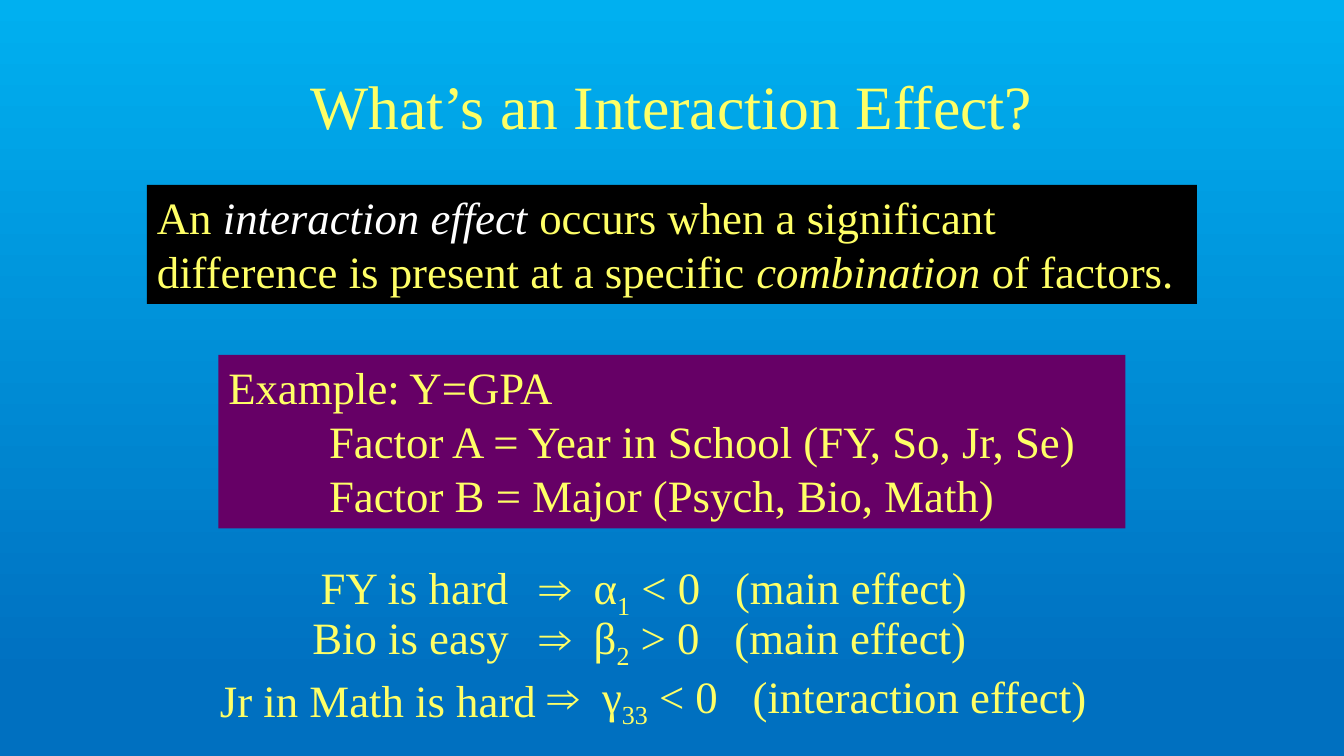
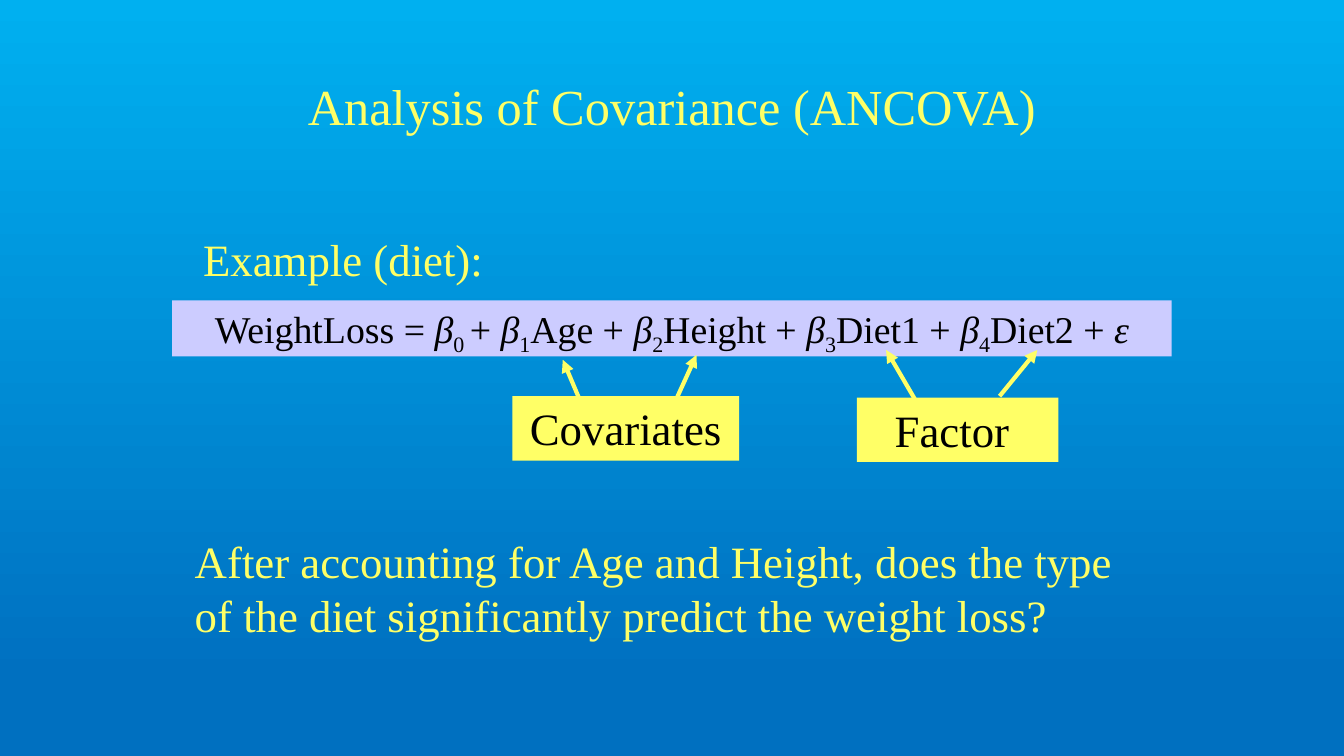
from dataclasses import dataclass

from lxml.etree import SubElement
from pptx import Presentation
from pptx.dml.color import RGBColor as Rgb
from pptx.enum.shapes import MSO_CONNECTOR as Connector, MSO_SHAPE as Shape
from pptx.enum.text import MSO_ANCHOR as Anchor, PP_ALIGN as Align
from pptx.oxml.ns import qn
from pptx.util import Pt


@dataclass(frozen=True)
class Theme:
    """Colours and type sizes of the deck."""
    font: str = "Times New Roman"
    sky: str = "00B0F0"
    deep: str = "0070C0"
    yellow: str = "FFFF66"
    white: str = "FFFFFF"
    black: str = "000000"
    purple: str = "660066"
    lavender: str = "CCCCFF"
    title: int = 44
    long_title: int = 36
    body: int = 32
    equation: int = 27
    arrow: int = 3


THEME = Theme()


def italic(text, color=None):
    """Describe an italic run."""
    return text, {"italic": True, "color": color}


def sub(text):
    """Describe a subscript run."""
    return text, {"subscript": True}


class Builder:
    """Holds the deck, its style and the current page."""

    def __init__(self, theme):
        """Start a widescreen deck with a shared gradient background."""
        self.theme = theme
        self.deck = Presentation()
        self.deck.slide_width, self.deck.slide_height = Pt(960), Pt(540)
        self.page = None
        fill = self.deck.slide_master.background.fill
        fill.gradient()
        fill.gradient_angle = 270
        stops = ((0, theme.sky), (0.9, theme.deep))
        for stop, (position, color) in zip(fill.gradient_stops, stops):
            stop.position = position
            stop.color.rgb = Rgb.from_string(color)

    def add_page(self, title, size):
        """Add a blank page with a centred title."""
        self.page = self.deck.slides.add_slide(self.deck.slide_layouts[6])
        self.text((174, 30, 612, 90), [[title]], size=size,
                  align=Align.CENTER, anchor=Anchor.MIDDLE)

    def text(self, place, lines, **style):
        """Add a plain text box."""
        box = self.page.shapes.add_textbox(*map(Pt, place))
        self.fill_text(box, lines, **style)

    def panel(self, place, fill, lines, **style):
        """Add a filled rectangle with text."""
        box = self.page.shapes.add_shape(Shape.RECTANGLE, *map(Pt, place))
        box.shadow.inherit = False
        box.fill.solid()
        box.fill.fore_color.rgb = Rgb.from_string(fill)
        box.line.fill.background()
        self.fill_text(box, lines, **style)

    def fill_text(self, box, lines, size=None, color=None, align=Align.LEFT,
                  anchor=Anchor.TOP, tabs=()):
        """Fill a box with paragraphs, each a list of runs."""
        frame = box.text_frame
        frame.word_wrap = True
        frame.vertical_anchor = anchor
        for number, runs in enumerate(lines):
            para = frame.add_paragraph() if number else frame.paragraphs[0]
            para.alignment = align
            if tabs:
                self.set_tabs(para, tabs)
            for run in runs:
                text, look = (run, {}) if isinstance(run, str) else run
                self.add_span(para, text, size or self.theme.body,
                              look.get("color") or color or self.theme.yellow,
                              look.get("italic", False),
                              look.get("subscript", False))

    def add_span(self, para, text, size, color, slanted, subscript):
        """Add one run with its full style."""
        span = para.add_run()
        span.text = text
        font = span.font
        font.name, font.size, font.italic = self.theme.font, Pt(size), slanted
        font.color.rgb = Rgb.from_string(color)
        if subscript:
            span._r.get_or_add_rPr().set("baseline", "-25000")

    def set_tabs(self, para, tabs):
        """Set left tab stops on a paragraph."""
        tab_list = SubElement(para._p.get_or_add_pPr(), qn("a:tabLst"))
        for stop in tabs:
            SubElement(tab_list, qn("a:tab"), pos=str(Pt(stop)), algn="l")

    def arrow(self, start, end):
        """Add a straight arrow pointing at its end."""
        line = self.page.shapes.add_connector(
            Connector.STRAIGHT, *map(Pt, (*start, *end)))
        line.line.width = Pt(self.theme.arrow)
        line.line.color.rgb = Rgb.from_string(self.theme.yellow)
        properties = line._element.spPr
        SubElement(properties.find(qn("a:ln")), qn("a:tailEnd"),
                   type="triangle")
        SubElement(properties, qn("a:effectLst"))


def interaction_page(build):
    """Explain interaction effects with an example."""
    theme = build.theme
    build.add_page("What’s an Interaction Effect?", theme.title)
    build.panel((105, 132, 750, 85), theme.black, [[
        "An ", italic("interaction effect", theme.white),
        " occurs when a significant difference is present at a specific ",
        italic("combination"), " of factors."]])
    build.panel((156, 253.5, 648, 124), theme.purple, [
        ["Example: Y=GPA"],
        ["\tFactor A = Year in School (FY, So, Jr, Se)"],
        ["\tFactor B = Major (Psych, Bio, Math)"]], tabs=(72,))

    claims = (
        ("FY is hard", (222, 396, 162, 45), (378, 396, 390, 45),
         "α", "1", "< 0", "(main effect)", 140),
        ("Bio is easy", (216, 432, 162, 45), (378, 432, 390, 45),
         "β", "2", "> 0", "(main effect)", 139.5),
        ("Jr in Math is hard", (150, 477, 246, 45), (384, 474, 456, 45),
         "γ", "33", "< 0", "(interaction effect)", 146.5),
    )
    for claim, left, right, symbol, index, sign, kind, kind_tab in claims:
        build.text(left, [[claim]])
        build.text(right, [[f"⇒\t{symbol}", sub(index), f" {sign}\t{kind}"]],
                   tabs=(39, kind_tab))


def ancova_page(build):
    """Show the diet model with its covariates and factor."""
    theme = build.theme
    build.add_page("Analysis of Covariance (ANCOVA)", theme.long_title)
    equation = ["WeightLoss = ", italic("β"), sub("0 "), "+ "]
    for index, name in enumerate(("Age", "Height", "Diet1", "Diet2"), 1):
        equation += [italic("β"), sub(str(index)), f"{name} + "]
    equation.append(italic("ε"))
    build.panel((123, 214.5, 714, 40), theme.lavender, [equation],
                size=theme.equation, color=theme.black, align=Align.CENTER)
    build.text((138, 162, 324, 46), [["Example (diet):"]])

    labels = (("Covariates", (366, 283, 162, 46)),
              ("Factor ", (612, 284, 144, 46)))
    for label, place in labels:
        build.panel(place, theme.yellow, [[label]], color=theme.black,
                    align=Align.CENTER)
    arrows = (((420, 299.5), (402, 257)), ((479.5, 293), (497.5, 253.5)),
              ((654, 286), (633, 250)), ((714, 283), (741, 250)))
    for start, end in arrows:
        build.arrow(start, end)
    build.text((132, 378, 696, 143), [[
        "After accounting for Age and Height, does the type of the diet "
        "significantly predict the weight loss?"]])


def main():
    """Build and save the deck."""
    build = Builder(THEME)
    interaction_page(build)
    ancova_page(build)
    build.deck.save("out.pptx")


main()
